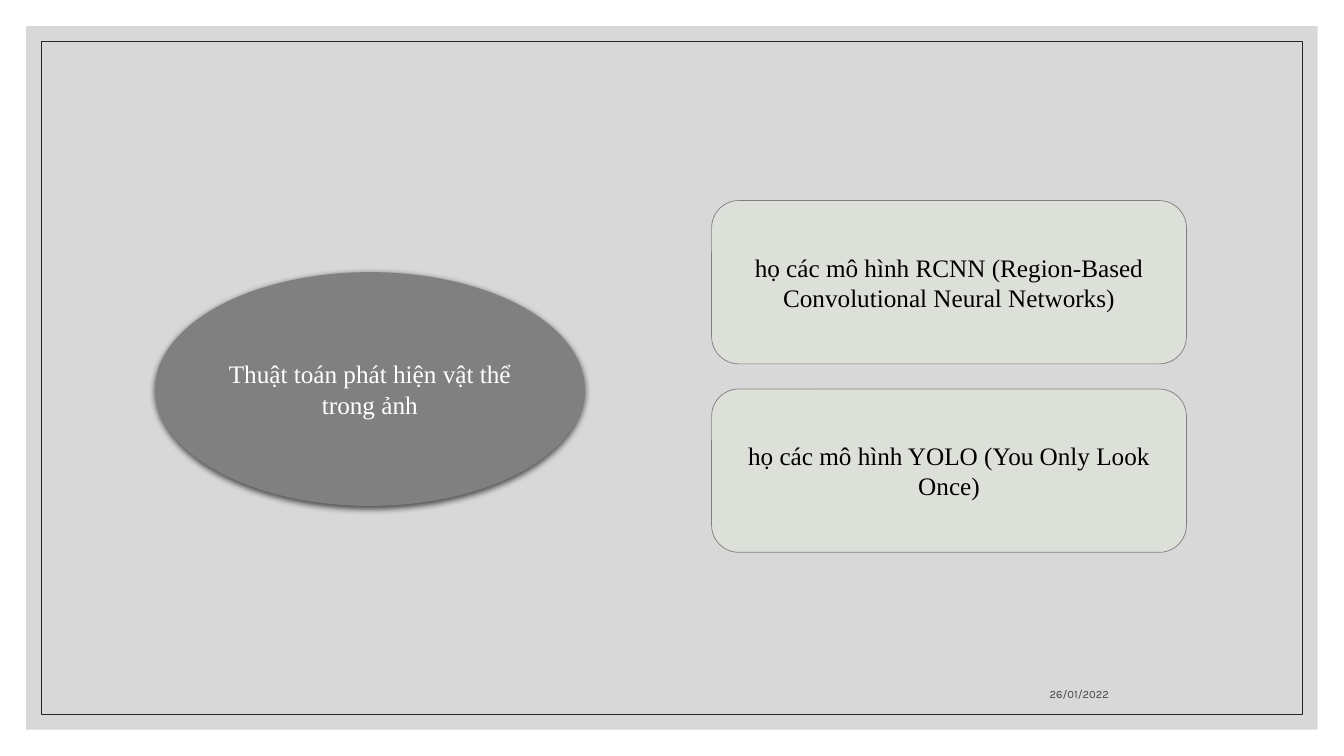
from pptx import Presentation
from pptx.dml.color import RGBColor
from pptx.enum.shapes import MSO_SHAPE
from pptx.enum.text import MSO_ANCHOR, PP_ALIGN
from pptx.oxml import parse_xml
from pptx.oxml.ns import nsdecls
from pptx.util import Inches, Pt
from lxml import etree

RECT, OVAL, ROUND = MSO_SHAPE.RECTANGLE, MSO_SHAPE.OVAL, MSO_SHAPE.ROUNDED_RECTANGLE
MIDDLE, BOTTOM = MSO_ANCHOR.MIDDLE, MSO_ANCHOR.BOTTOM
CENTER, RIGHT = PP_ALIGN.CENTER, PP_ALIGN.RIGHT

THEME = {
    "panel": "BFBFBF", "frame": "262626", "topic": "808080", "card": "DCE0D9",
    "edge": "808080", "light": "FFFFFF", "dark": "000000", "muted": "404040",
    "font": "Times New Roman", "small font": "Karla",
    "body": 18, "small": 8, "line": 0.5,
}

deck = Presentation()
deck.slide_width, deck.slide_height = Inches(13.33), Inches(7.5)
col, row = deck.slide_width / 100, deck.slide_height / 100
slide = deck.slides.add_slide(deck.slide_layouts[6])


def draw(kind, left, top, width, height, fill=None, line=None):
    shape = slide.shapes.add_shape(
        kind, round(left * col), round(top * row), round(width * col), round(height * row))
    shape.shadow.inherit = False
    if fill:
        shape.fill.solid()
        shape.fill.fore_color.rgb = RGBColor.from_string(THEME[fill])
    else:
        shape.fill.background()
    if line:
        shape.line.color.rgb = RGBColor.from_string(THEME[line])
        shape.line.width = Pt(THEME["line"])
    else:
        shape.line.fill.background()
    return shape


def write(shape, text, color="dark", font="font", size="body", align=CENTER, anchor=MIDDLE):
    frame = shape.text_frame
    frame.word_wrap = True
    frame.vertical_anchor = anchor
    para = frame.paragraphs[0]
    para.alignment = align
    run = para.add_run()
    run.text = text
    run.font.name = THEME[font]
    run.font.size = Pt(THEME[size])
    run.font.color.rgb = RGBColor.from_string(THEME[color])


panel = draw(RECT, 1.95, 3.47, 96.1, 93.06, fill="panel")
tint = panel.fill._xPr.find(".//{*}srgbClr")
etree.SubElement(tint, tint.tag.replace("srgbClr", "alpha"), val="60000")
draw(RECT, 3.08, 5.47, 93.84, 89.06, line="frame")

date = slide.shapes.add_textbox(
    round(59.55 * col), round(88 * row), round(23.7 * col), round(5.33 * row))
write(date, "26/01/2022", color="muted", font="small font", size="small",
      align=RIGHT, anchor=BOTTOM)

topic = draw(OVAL, 11.55, 36, 31.95, 30.93, fill="topic")
write(topic, "Thuật toán phát hiện vật thể trong ảnh", color="light")
glow = topic._element.spPr.find("{*}effectLst")
glow.append(parse_xml(
    f'<a:outerShdw {nsdecls("a")} blurRad="{Pt(4.5)}" dist="{Pt(1.5)}" dir="5400000" '
    'algn="ctr" rotWithShape="0"><a:srgbClr val="000000"><a:alpha val="63000"/>'
    '</a:srgbClr></a:outerShdw>'))

models = [
    "họ các mô hình RCNN (Region-Based Convolutional Neural Networks)",
    "họ các mô hình YOLO (You Only Look Once)",
]
for i, model in enumerate(models):
    card = draw(ROUND, 52.95, 26.53 + i * 24.93, 35.33, 21.6, fill="card", line="edge")
    write(card, model)

deck.save("out.pptx")
